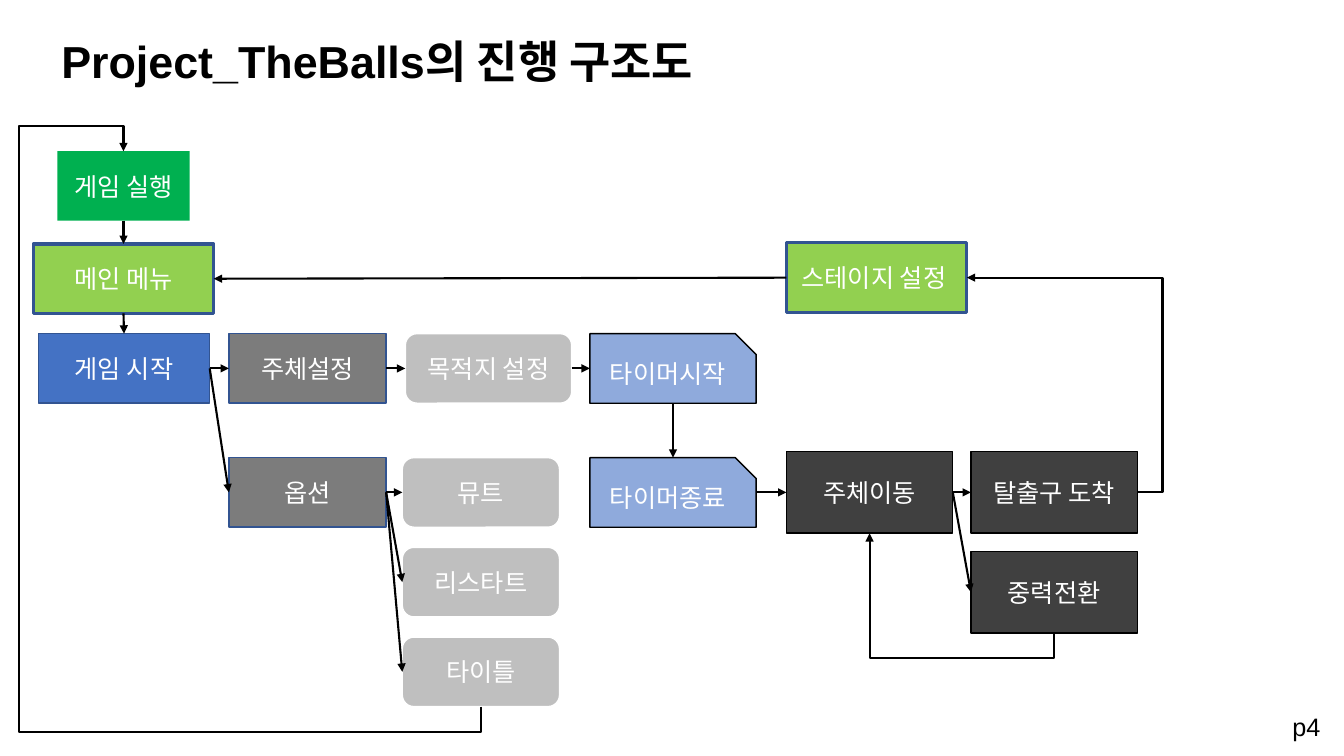
from dataclasses import dataclass

import lxml.etree
import pptx
import pptx.dml.color
import pptx.enum.dml
import pptx.enum.shapes
import pptx.enum.text
import pptx.oxml.ns
import pptx.util

PX = 9144
LATIN = "Arial"
KOREAN = "Noto Sans CJK KR"
TOP, LEFT, BOTTOM, RIGHT = range(4)
SHAPES = pptx.enum.shapes.MSO_SHAPE
CONNECTORS = pptx.enum.shapes.MSO_CONNECTOR
RECT = SHAPES.RECTANGLE
ROUND = SHAPES.ROUNDED_RECTANGLE
SNIP = SHAPES.SNIP_1_RECTANGLE


@dataclass(frozen=True)
class Style:
    kind: int
    fill: str
    line: str = ""
    weight: float = 1


@dataclass(frozen=True)
class Box:
    text: str
    x: int
    y: int
    w: int
    h: int
    style: Style


@dataclass(frozen=True)
class Arrow:
    start: str
    begin_side: int
    target: str
    end_side: int


@dataclass(frozen=True)
class Elbow:
    arrow: Arrow
    preset: str
    adjustments: tuple[int, ...]
    turned: bool = False


@dataclass(frozen=True)
class Label:
    text: str
    x: int
    y: int
    w: int
    h: int
    size: int
    bold: bool = False
    wrap: bool = True


LAUNCH = Style(RECT, "00B050")
MENU = Style(RECT, "92D050", "325491", 2.25)
START = Style(RECT, "4472C4", "325491")
SETUP = Style(RECT, "7C7C7C", "325491")
CHOICE = Style(ROUND, "BFBFBF", "FFFFFF")
TIMER = Style(SNIP, "8FAADC", "000000")
PLAY = Style(RECT, "404040", "000000")

BOXES = [
    Box("게임 실행", 57, 150, 131, 69, LAUNCH),
    Box("메인 메뉴", 33, 242, 179, 69, MENU),
    Box("주체설정", 227, 331, 156, 69, SETUP),
    Box("게임 시작", 38, 331, 170, 69, START),
    Box("목적지 설정", 402, 331, 165, 69, CHOICE),
    Box("스테이지 설정 ", 780, 241, 179, 69, MENU),
    Box("옵션", 227, 454, 156, 69, SETUP),
    *(Box(text, 399, 454 + 89 * i, 156, 69, CHOICE)
      for i, text in enumerate(("뮤트", "리스타트", "타이틀"))),
    Box("타이머시작", 585, 331, 165, 69, TIMER),
    Box("타이머종료", 585, 454, 165, 69, TIMER),
    Box("주체이동", 780, 448, 165, 81, PLAY),
    Box("중력전환", 963, 547, 165, 81, PLAY),
    Box("탈출구 도착", 963, 448, 165, 81, PLAY),
]

DOWNWARD = [("게임 실행", "메인 메뉴"), ("메인 메뉴", "게임 시작"), ("타이머시작", "타이머종료")]
RIGHTWARD = [
    ("게임 시작", "옵션"), ("게임 시작", "주체설정"),
    ("옵션", "뮤트"), ("옵션", "리스타트"), ("옵션", "타이틀"),
    ("주체설정", "목적지 설정"), ("목적지 설정", "타이머시작"),
    ("타이머종료", "주체이동"), ("주체이동", "탈출구 도착"), ("주체이동", "중력전환"),
]
ARROWS = [
    *(Arrow(a, BOTTOM, b, TOP) for a, b in DOWNWARD),
    *(Arrow(a, RIGHT, b, LEFT) for a, b in RIGHTWARD),
    Arrow("스테이지 설정 ", LEFT, "메인 메뉴", RIGHT),
]
ELBOWS = [
    Elbow(Arrow("타이틀", BOTTOM, "게임 실행", TOP), "bentConnector5", (-4500, 129200, 104500), True),
    Elbow(Arrow("탈출구 도착", RIGHT, "스테이지 설정 ", RIGHT), "bentConnector3", (-14800,)),
    Elbow(Arrow("중력전환", BOTTOM, "주체이동", BOTTOM), "bentConnector3", (-25400,), True),
]
LABELS = [
    Label("p4", 1272, 701, 62, 40, 18),
    Label("Project_TheBalls의 진행 구조도", 51, 29, 688, 64, 32, True, False),
]


def emu(px: float) -> int:
    return round(px * PX)


def rgb(value: str) -> pptx.dml.color.RGBColor:
    return pptx.dml.color.RGBColor.from_string(value)


def add_xml(parent, tag: str, **attributes: str):
    return lxml.etree.SubElement(parent, pptx.oxml.ns.qn(tag), **attributes)


def set_font(p, size: int, color: str, latin: str, bold: bool = False) -> None:
    p.font.size = pptx.util.Pt(size)
    p.font.bold = bold
    p.font.color.rgb = rgb(color)
    p.font.name = latin
    add_xml(p.font._rPr, "a:ea", typeface=KOREAN)


def draw_box(slide, box: Box):
    s = slide.shapes.add_shape(box.style.kind, *map(emu, (box.x, box.y, box.w, box.h)))
    s.shadow.inherit = False
    s.fill.solid()
    s.fill.fore_color.rgb = rgb(box.style.fill)
    if box.style.line:
        s.line.color.rgb = rgb(box.style.line)
        s.line.width = pptx.util.Pt(box.style.weight)
    else:
        s.line.fill.background()
    if box.style.kind == SNIP:
        s.adjustments[0] = 0.3
    tf = s.text_frame
    tf.word_wrap = True
    tf.vertical_anchor = pptx.enum.text.MSO_ANCHOR.MIDDLE
    p = tf.paragraphs[0]
    p.text = box.text
    p.alignment = pptx.enum.text.PP_ALIGN.CENTER
    set_font(p, 18, "FFFFFF", KOREAN)
    return s


def side_point(box: Box, side: int) -> tuple[float, float]:
    fx, fy = {TOP: (0.5, 0), LEFT: (0, 0.5), BOTTOM: (0.5, 1), RIGHT: (1, 0.5)}[side]
    return box.x + box.w * fx, box.y + box.h * fy


def add_line(slide, kind: int, begin: tuple[float, float], end: tuple[float, float]):
    s = slide.shapes.add_connector(kind, *map(emu, (*begin, *end)))
    s.line.color.rgb = rgb("000000")
    s.line.width = pptx.util.Pt(1.5)
    add_xml(s.line._get_or_add_ln(), "a:tailEnd", type="triangle")
    add_xml(s._element.spPr, "a:effectLst")
    return s


def draw_arrow(slide, arrow: Arrow, boxes: dict[str, Box], shapes: dict) -> None:
    start, target = boxes[arrow.start], boxes[arrow.target]
    s = add_line(slide, CONNECTORS.STRAIGHT,
                 side_point(start, arrow.begin_side), side_point(target, arrow.end_side))
    if start.style.kind != SNIP:
        s.begin_connect(shapes[arrow.start], arrow.begin_side)
    if target.style.kind != SNIP:
        s.end_connect(shapes[arrow.target], arrow.end_side)


def draw_elbow(slide, elbow: Elbow, boxes: dict[str, Box]) -> None:
    x1, y1 = side_point(boxes[elbow.arrow.start], elbow.arrow.begin_side)
    x2, y2 = side_point(boxes[elbow.arrow.target], elbow.arrow.end_side)
    if elbow.turned:
        cx, cy, dx, dy = (x1 + x2) / 2, (y1 + y2) / 2, (x1 - x2) / 2, (y1 - y2) / 2
        x1, y1, x2, y2 = cx + dy, cy - dx, cx - dy, cy + dx
    s = add_line(slide, CONNECTORS.ELBOW, (x1, y1), (x2, y2))
    if elbow.turned:
        s._element.spPr.find(pptx.oxml.ns.qn("a:xfrm")).set("rot", "5400000")
    geometry = s._element.spPr.find(pptx.oxml.ns.qn("a:prstGeom"))
    geometry.set("prst", elbow.preset)
    guides = geometry.find(pptx.oxml.ns.qn("a:avLst"))
    for i, value in enumerate(elbow.adjustments, 1):
        add_xml(guides, "a:gd", name=f"adj{i}", fmla=f"val {value}")


def draw_label(slide, label: Label) -> None:
    s = slide.shapes.add_textbox(*map(emu, (label.x, label.y, label.w, label.h)))
    tf = s.text_frame
    tf.word_wrap = label.wrap
    tf.auto_size = pptx.enum.text.MSO_AUTO_SIZE.SHAPE_TO_FIT_TEXT
    p = tf.paragraphs[0]
    p.text = label.text
    set_font(p, label.size, "000000", LATIN, label.bold)


def main() -> None:
    prs = pptx.Presentation()
    prs.slide_width, prs.slide_height = emu(1333), emu(750)
    slide = prs.slides.add_slide(prs.slide_layouts[6])
    boxes = {box.text: box for box in BOXES}
    shapes = {box.text: draw_box(slide, box) for box in BOXES}
    for arrow in ARROWS:
        draw_arrow(slide, arrow, boxes, shapes)
    for elbow in ELBOWS:
        draw_elbow(slide, elbow, boxes)
    for label in LABELS:
        draw_label(slide, label)
    prs.save("out.pptx")


if __name__ == "__main__":
    main()
